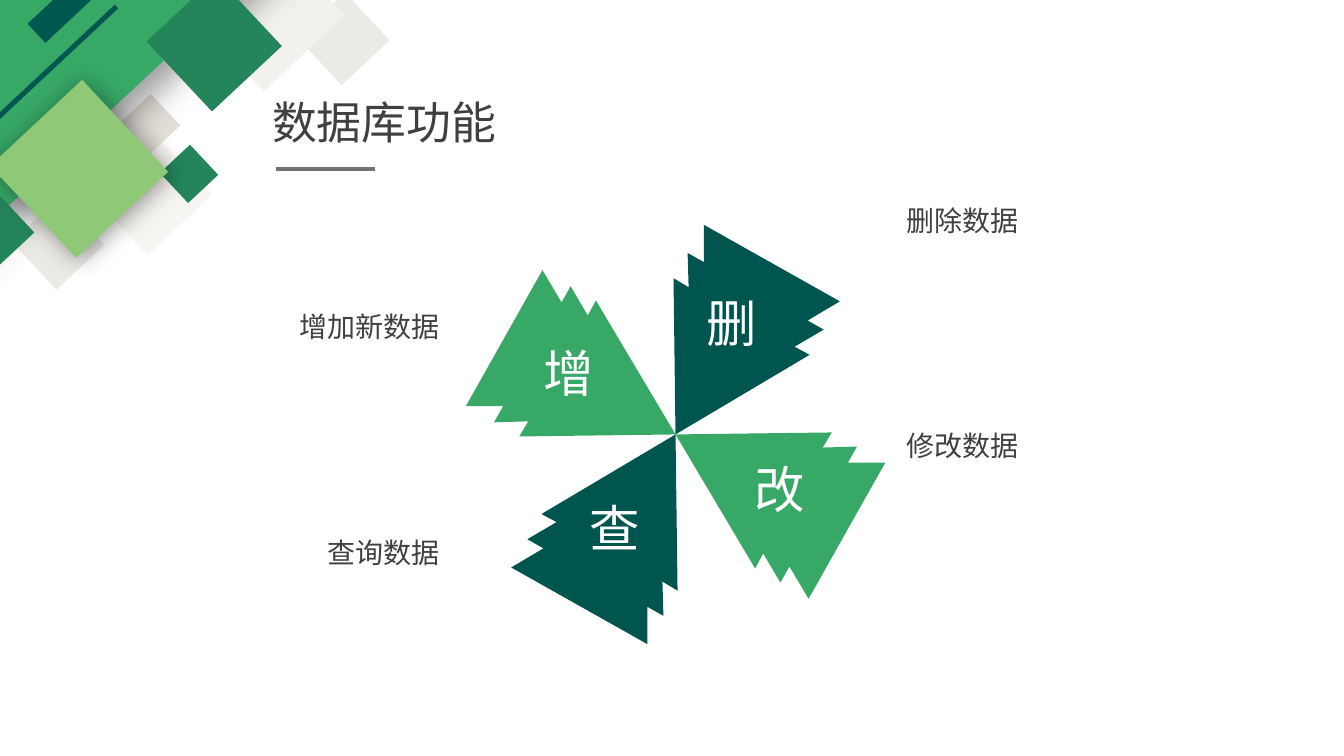
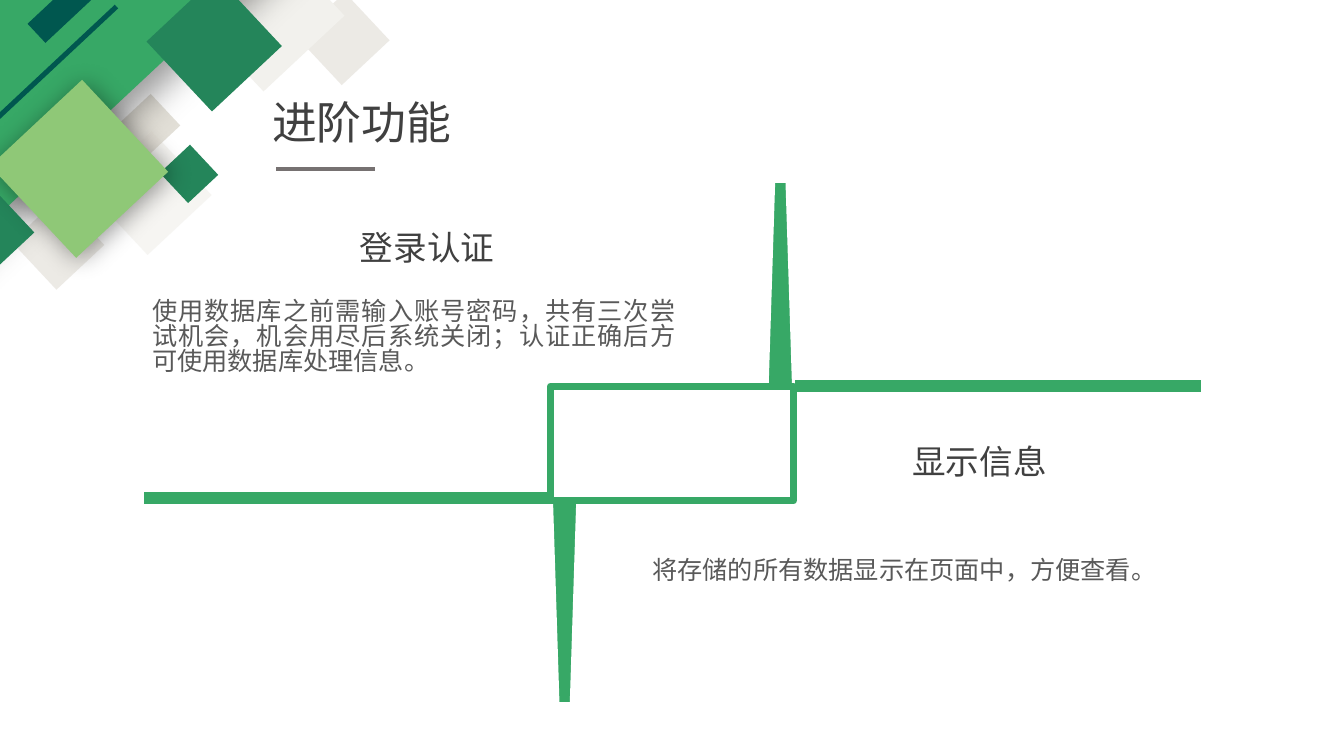
from lxml.etree import SubElement
from pptx import Presentation
from pptx.dml.color import RGBColor
from pptx.enum.shapes import MSO_CONNECTOR, MSO_SHAPE
from pptx.enum.text import MSO_AUTO_SIZE, PP_ALIGN
from pptx.oxml.ns import qn
from pptx.util import Pt

PX = 9144  # EMU in one px, 100 px to the inch
FONT = "Noto Sans CJK SC"
LINE_SPACING = 0.83

WHITE = RGBColor(0xFF, 0xFF, 0xFF)
GREEN = RGBColor(0x37, 0xA8, 0x66)
MID_GREEN = RGBColor(0x24, 0x85, 0x5A)
LIGHT_GREEN = RGBColor(0x8F, 0xC8, 0x77)
DEEP_TEAL = RGBColor(0x00, 0x55, 0x4E)
TEAL = RGBColor(0x00, 0x57, 0x4F)
SAND = RGBColor(0xE7, 0xE4, 0xDD)
PALE_SAND = RGBColor(0xF2, 0xF1, 0xED)
DARK_SAND = RGBColor(0xD8, 0xD4, 0xC9)
TITLE_GRAY = RGBColor(0x40, 0x40, 0x40)
BODY_GRAY = RGBColor(0x59, 0x59, 0x59)
RULE_GRAY = RGBColor(0x76, 0x71, 0x71)

# Corner decoration: box, colour, opacity %, shadow (blur pt, distance pt, angle)
TILE_ROTATION = 316.9
TILES = [
    ((308, 6, 65, 65), SAND, 76, None),
    ((209, -42, 110, 110), PALE_SAND, 100, None),
    ((25, 209, 65, 65), SAND, 76, None),
    ((105, 148, 87, 87), PALE_SAND, 67, None),
    ((127, 102, 43, 43), DARK_SAND, 73, None),
    ((-203, -136, 527, 246), GREEN, 100, (27, 16, 90)),
    ((-163, 114, 322, 5), TEAL, 100, None),
    ((167, 152, 41, 41), MID_GREEN, 100, None),
    ((165, -4, 95, 95), MID_GREEN, 100, None),
    ((-48, 195, 68, 68), MID_GREEN, 100, None),
    ((16, 105, 125, 125), LIGHT_GREEN, 100, (18, 3, 45)),
    ((-8, -92, 328, 26), TEAL, 100, None),
]

# Windmill: upper right blade, measured from the hub; the others are quarter turns
HUB = (670, 431)
BLADE = [(0, 0), (-2, -155), (13, -146), (12, -180), (28, -171), (28, -208),
         (163, -132), (131, -113), (147, -104), (118, -87), (133, -79)]
# Clockwise: letter, letter position, colour, label, label position, alignment
FUNCTIONS = [
    ("删", (691, 290), DEEP_TEAL, "删除数据", (889, 200), PP_ALIGN.LEFT),
    ("改", (738, 455), GREEN, "修改数据", (889, 423), PP_ALIGN.LEFT),
    ("查", (575, 493), DEEP_TEAL, "查询数据", (203, 529), PP_ALIGN.RIGHT),
    ("增", (529, 340), GREEN, "增加新数据", (203, 305), PP_ALIGN.RIGHT),
]

# Advanced features: heading, heading box, description, description box
FEATURES = [
    ("登录认证", (274, 223, 299, 50),
     "使用数据库之前需输入账号密码，共有三次尝试机会，机会用尽后系统关闭；"
     "认证正确后方可使用数据库处理信息。", (141, 290, 539, 101)),
    ("显示信息", (822, 435, 299, 50),
     "将存储的所有数据显示在页面中，方便查看。", (637, 547, 539, 40)),
]
BARS = [(141, 487, 406, 14), (787, 376, 406, 14)]
SPIKES = [((547, 494, 26, 204), 180), ((761, 180, 26, 204), 0)]
FRAME = (546, 383, 241, 114)


def emu(lengths):
    return [length * PX for length in lengths]


def paint(shape, fill=None, line=None, line_width=0):
    shape.shadow.inherit = False
    if fill is None:
        shape.fill.background()
    else:
        shape.fill.solid()
        shape.fill.fore_color.rgb = fill
    if line is None:
        shape.line.fill.background()
    else:
        shape.line.color.rgb = line
        shape.line.width = Pt(line_width)


def add_box(shapes, preset, box, fill=None, line=None, line_width=0, rotation=0):
    shape = shapes.add_shape(preset, *emu(box))
    shape.rotation = rotation
    paint(shape, fill, line, line_width)
    return shape


def add_alpha(color_element, percent):
    SubElement(color_element, qn("a:alpha"), val=str(percent * 1000))


def add_shadow(shape, blur, distance, angle):
    effects = shape.element.spPr.find(qn("a:effectLst"))
    shadow = SubElement(effects, qn("a:outerShdw"), blurRad=str(Pt(blur)),
                        dist=str(Pt(distance)), dir=str(angle * 60000),
                        algn="ctr", rotWithShape="0")
    add_alpha(SubElement(shadow, qn("a:srgbClr"), val="000000"), 40)


def add_text(slide, text, box, size, color=TITLE_GRAY, align=PP_ALIGN.LEFT):
    text_frame = slide.shapes.add_textbox(*emu(box)).text_frame
    text_frame.word_wrap = True
    text_frame.auto_size = MSO_AUTO_SIZE.NONE
    # Tight line spacing lifts the first line; the top margin offsets it
    text_frame.margin_top = round(5 + size * 0.15) * PX
    text_frame.text = text
    paragraph = text_frame.paragraphs[0]
    paragraph.alignment = align
    paragraph.line_spacing = LINE_SPACING
    font = paragraph.runs[0].font
    font.size = Pt(size)
    font.name = FONT
    font.color.rgb = color
    SubElement(paragraph.runs[0].font._element, qn("a:ea"), typeface=FONT)


def add_slide(presentation, title):
    slide = presentation.slides.add_slide(presentation.slide_layouts[6])
    # Corner decoration
    corner = slide.shapes.add_group_shape()
    for box, color, opacity, shadow in TILES:
        tile = add_box(corner.shapes, MSO_SHAPE.RECTANGLE, box, color,
                       rotation=TILE_ROTATION)
        if opacity < 100:
            solid_fill = tile.element.spPr.find(qn("a:solidFill"))
            add_alpha(solid_fill[0], opacity)
        if shadow:
            add_shadow(tile, *shadow)
    # Title and its rule
    add_text(slide, title, (260, 93, 407, 64), 32)
    rule = slide.shapes.add_connector(MSO_CONNECTOR.STRAIGHT,
                                      *emu((274, 168, 372, 168)))
    rule.line.color.rgb = RULE_GRAY
    rule.line.width = Pt(3)
    SubElement(rule.element.spPr, qn("a:effectLst"))
    return slide


def build_functions(presentation):
    slide = add_slide(presentation, "数据库功能")
    hub_x, hub_y = HUB
    blade = BLADE
    for _, _, color, _, _, _ in FUNCTIONS:
        points = [(hub_x + x, hub_y + y) for x, y in blade]
        builder = slide.shapes.build_freeform(*points[0], scale=PX)
        builder.add_line_segments(points[1:], close=True)
        paint(builder.convert_to_shape(), color)
        blade = [(-y, x) for x, y in blade]
    for letter, letter_at, _, label, label_at, align in FUNCTIONS:
        add_text(slide, letter, (*letter_at, 65, 71), 36, WHITE)
        add_text(slide, label, (*label_at, 243, 44), 20, align=align)


def build_features(presentation):
    slide = add_slide(presentation, "进阶功能")
    # Bars, spikes and frame
    for box in BARS:
        add_box(slide.shapes, MSO_SHAPE.RECTANGLE, box, GREEN, WHITE, 2)
    for box, rotation in SPIKES:
        add_box(slide.shapes, MSO_SHAPE.TRAPEZOID, box, GREEN, WHITE, 2, rotation)
    add_box(slide.shapes, MSO_SHAPE.RECTANGLE, FRAME, line=GREEN, line_width=5)
    # Texts
    for heading, heading_box, description, description_box in FEATURES:
        add_text(slide, heading, heading_box, 24, align=PP_ALIGN.CENTER)
        add_text(slide, description, description_box, 18, BODY_GRAY,
                 PP_ALIGN.JUSTIFY)


def main():
    presentation = Presentation()
    presentation.slide_width, presentation.slide_height = emu((1333, 750))
    build_functions(presentation)
    build_features(presentation)
    presentation.save("out.pptx")


if __name__ == "__main__":
    main()
